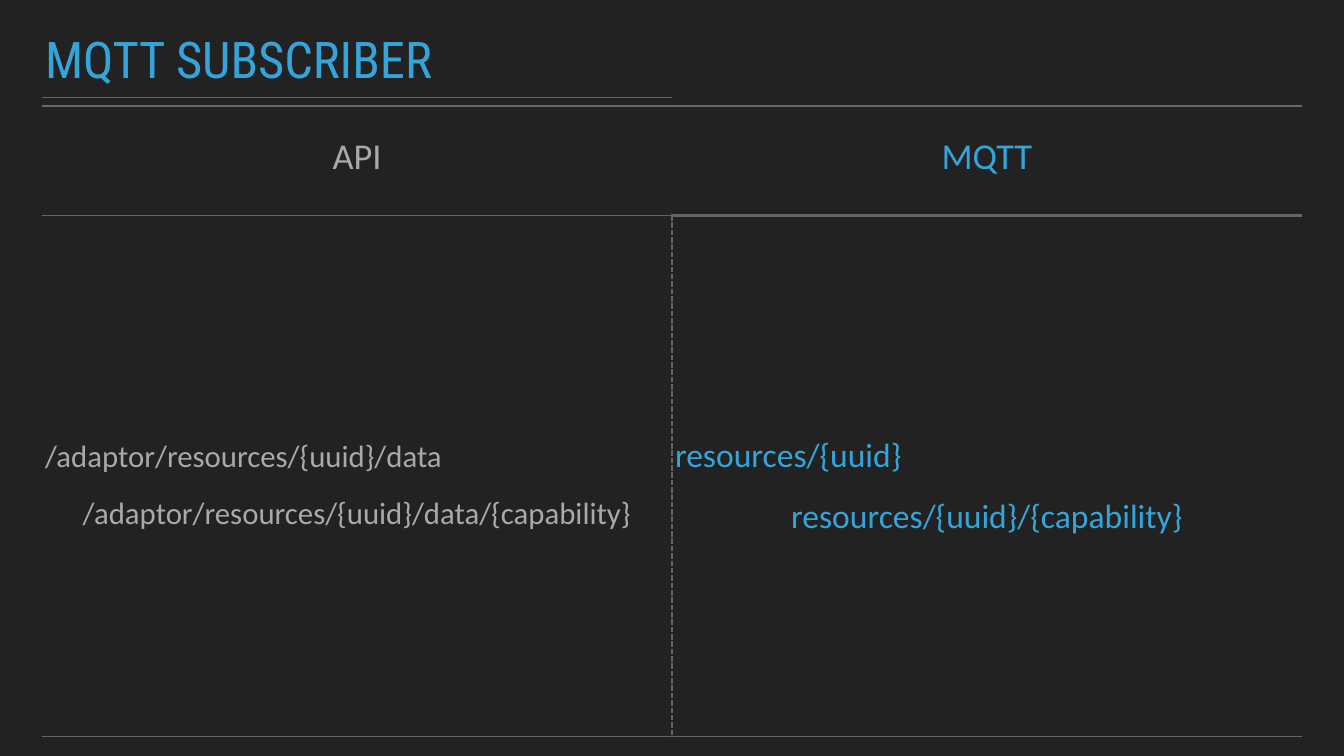
import pptx
import pptx.util
import pptx.dml.color
import pptx.enum.text
import pptx.enum.shapes
import pptx.oxml
import pptx.oxml.ns
import lxml.etree

INK = {"ground": "222222", "blue": "34A5DA", "grey": "A6AAA9", "border": "5F6568", "rule": "686868"}
NO_STYLE = "{2D5ABB26-0587-4C30-8999-92F81FD0307C}"
ALIGN = pptx.enum.text.PP_ALIGN
ANCHOR = pptx.enum.text.MSO_ANCHOR
inch = pptx.util.Inches
rgb = pptx.dml.color.RGBColor.from_string

W, H = 26.67, 15
COL = 12.5
LEFT = (W - 2 * COL) / 2
TOP = 1.94
ROWS = [2.34, 10.33]
INSET = inch(0.06)


def style(p, size, color, font, align):
    p.font.size = pptx.util.Pt(size)
    p.font.name = font
    p.font.color.rgb = rgb(INK[color])
    p.alignment = align


def add_border(cell, side, width, dash):
    pr = cell._tc.get_or_add_tcPr()
    pr.append(pptx.oxml.parse_xml(
        f'<a:{side} {pptx.oxml.ns.nsdecls("a")} w="{pptx.util.Pt(width)}"><a:solidFill>'
        f'<a:srgbClr val="{INK["border"]}"/></a:solidFill><a:prstDash val="{dash}"/></a:{side}>'))


prs = pptx.Presentation()
prs.slide_width, prs.slide_height = inch(W), inch(H)
s = prs.slides.add_slide(prs.slide_layouts[6])
s.background.fill.solid()
s.background.fill.fore_color.rgb = rgb(INK["ground"])

columns = [
    ("API", ["/adaptor/resources/{uuid}/data", "/adaptor/resources/{uuid}/data/{capability}"], "grey", 44),
    ("MQTT", ["resources/{uuid}", "resources/{uuid}/{capability}"], "blue", 48),
]
borders = {
    (0, 0): [("lnT", 2, "solid"), ("lnB", 2, "solid")],
    (0, 1): [("lnB", 5, "solid")],
    (1, 0): [("lnR", 2, "sysDash"), ("lnT", 2, "solid"), ("lnB", 2, "solid")],
    (1, 1): [("lnL", 2, "sysDash"), ("lnT", 5, "solid"), ("lnB", 2, "solid")],
}

frame = s.shapes.add_table(2, 2, inch(LEFT), inch(TOP), inch(2 * COL), inch(sum(ROWS)))
table = frame.table
table.first_row = table.horz_banding = False
table._tbl.tblPr.find(pptx.oxml.ns.qn("a:tableStyleId")).text = NO_STYLE
for row, height in zip(table.rows, ROWS):
    row.height = inch(height)

for c, (heading, topics, color, size) in enumerate(columns):
    table.columns[c].width = inch(COL)
    for r, lines in enumerate([[heading], topics]):
        cell = table.cell(r, c)
        cell.margin_left = cell.margin_right = cell.margin_top = cell.margin_bottom = INSET
        cell.vertical_anchor = ANCHOR.MIDDLE
        for side, width, dash in borders[r, c]:
            add_border(cell, side, width, dash)
        cell.fill.solid()
        cell.fill.fore_color.rgb = rgb(INK["ground"])
        cell.text_frame.text = "\n".join(lines)
        for i, p in enumerate(cell.text_frame.paragraphs):
            first_topic = r == 1 and i == 0
            style(p, size if r else 52, color, "Calibri", ALIGN.LEFT if first_topic else ALIGN.CENTER)
            p.space_before = pptx.util.Pt(0 if i else 34)
            p.line_spacing = 1.5 if r else 1.0

title = s.shapes.add_textbox(inch(LEFT), inch(0.69), inch(2 * COL), inch(1.11))
tf = title.text_frame
tf.word_wrap = True
tf.margin_left = tf.margin_right = tf.margin_top = tf.margin_bottom = INSET
tf.vertical_anchor = ANCHOR.BOTTOM
p = tf.paragraphs[0]
p.text = "MQTT SUBSCRIBER"
p.line_spacing = 0.8
style(p, 72.2, "blue", "Roboto Condensed", ALIGN.LEFT)

rule = s.shapes.add_connector(pptx.enum.shapes.MSO_CONNECTOR.STRAIGHT,
                              inch(LEFT), inch(2.1), inch(LEFT + 2 * COL), inch(2.1))
rule.line.color.rgb = rgb(INK["rule"])
rule.line.width = pptx.util.Pt(2)
lxml.etree.SubElement(rule._element.spPr, pptx.oxml.ns.qn("a:effectLst"))

prs.save("out.pptx")
